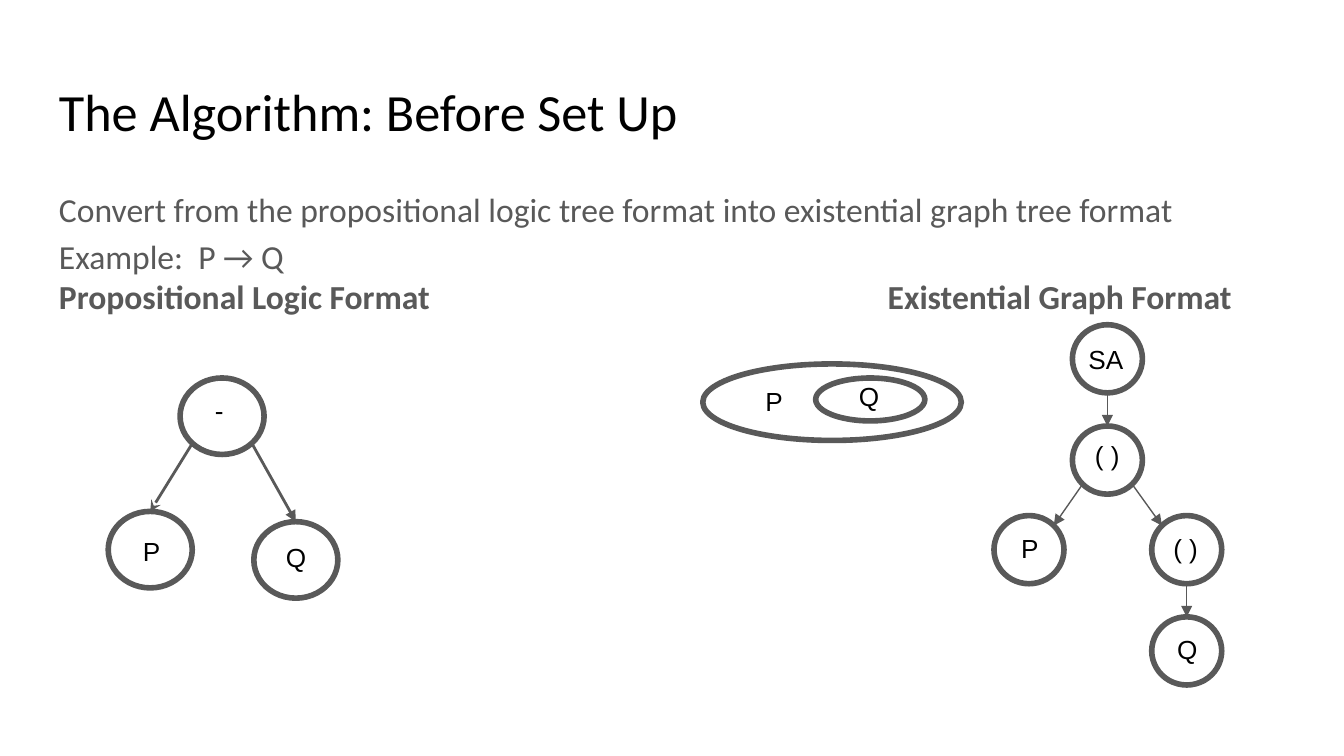
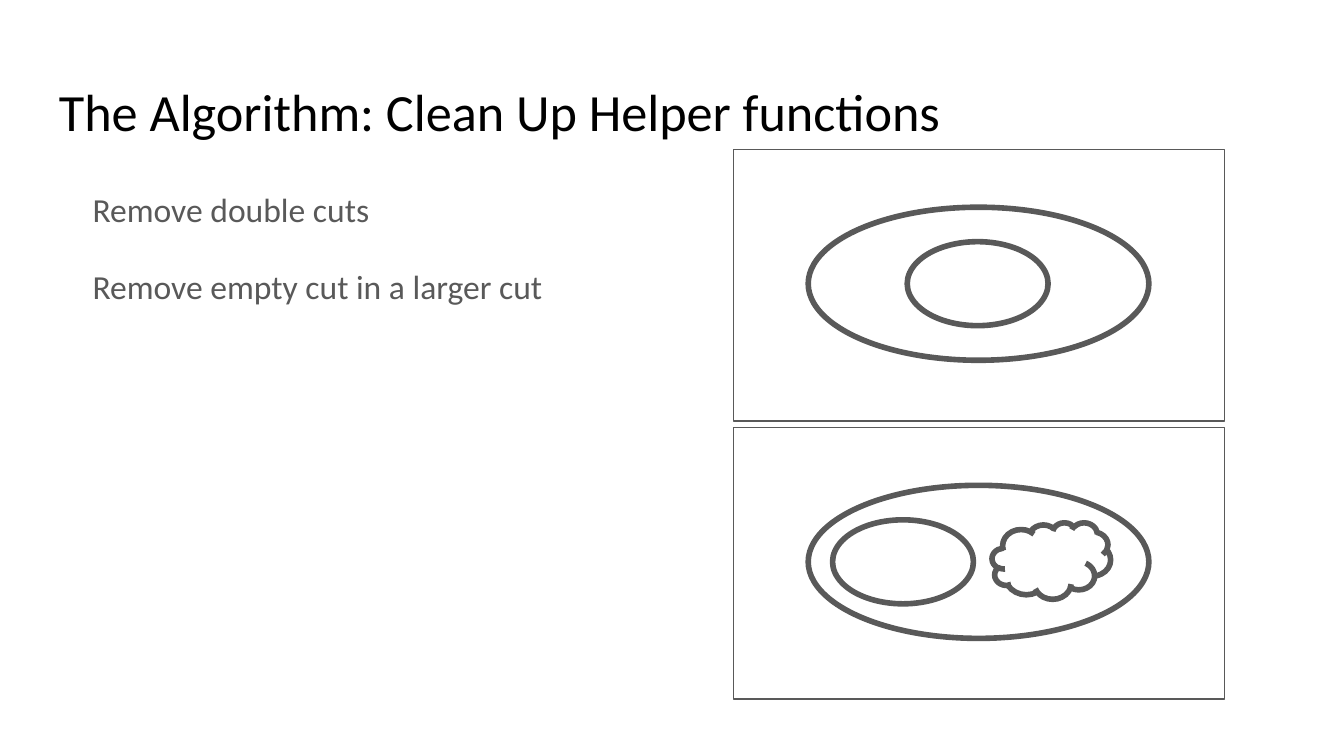
"""Build two slides on converting and cleaning up existential graphs."""
from dataclasses import dataclass
from math import sqrt

from lxml import etree
from pptx import Presentation
from pptx.dml.color import RGBColor
from pptx.enum.shapes import MSO_CONNECTOR, MSO_SHAPE
from pptx.oxml.ns import qn
from pptx.util import Pt

OVAL = MSO_SHAPE.OVAL
RECT = MSO_SHAPE.RECTANGLE
CLOUD = MSO_SHAPE.CLOUD
STRAIGHT = MSO_CONNECTOR.STRAIGHT
DIAG = 1 / sqrt(2)
TOP, BOTTOM = (0, -1), (0, 1)
TOP_LEFT, TOP_RIGHT = (-DIAG, -DIAG), (DIAG, -DIAG)
BOTTOM_LEFT, BOTTOM_RIGHT = (-DIAG, DIAG), (DIAG, DIAG)


@dataclass(frozen=True)
class Theme:
    """Colours, fonts, type sizes and line widths."""
    ink: RGBColor = RGBColor(0x00, 0x00, 0x00)
    gray: RGBColor = RGBColor(0x59, 0x59, 0x59)
    text_font: str = "Calibri"
    label_font: str = "Arial"
    title_size: float = 28
    body_size: float = 18
    label_size: float = 14
    inset: float = 7.2
    spacing: float = 1.15
    thick: float = 3
    thin: float = 0.75


@dataclass(frozen=True)
class Box:
    """A rectangle in points."""
    x: float
    y: float
    w: float
    h: float

    def lengths(self) -> tuple:
        """Return left, top, width and height as lengths."""
        return Pt(self.x), Pt(self.y), Pt(self.w), Pt(self.h)

    def site(self, side: tuple) -> tuple:
        """Return the point of the inscribed ellipse in a direction."""
        dx, dy = side
        return self.x + self.w / 2 * (1 + dx), self.y + self.h / 2 * (1 + dy)


@dataclass(frozen=True)
class Node:
    """A labelled tree node; dx and dy shift the label box."""
    label: str
    x: float
    y: float
    dx: float
    dy: float


@dataclass(frozen=True)
class Edge:
    """An arrow between two nodes, given by index and side."""
    start: int
    start_side: tuple
    end: int
    end_side: tuple
    head: str = "triangle"


@dataclass(frozen=True)
class Tree:
    """A tree with one node size and one arrow width."""
    node_w: float
    node_h: float
    arrow: float
    nodes: tuple
    edges: tuple


THEME = Theme()
TITLE = Box(24.5, 35, 671, 45)
BODY = Box(24.5, 91, 671, 269)
SECOND_COLUMN = 444

LOGIC_TREE = Tree(
    45, 41, 1.5,
    (Node("-", 96.5, 202.5, 11.5, 1.5),
     Node("P", 58, 274, 11.5, 5.5),
     Node("Q", 136, 279.5, 10, 3.5)),
    (Edge(0, BOTTOM_LEFT, 1, TOP, "stealth"),
     Edge(0, BOTTOM_RIGHT, 2, TOP)))

GRAPH_TREE = Tree(
    37.5, 36.5, THEME.thin,
    (Node("SA", 574.5, 174, 1.5, 3),
     Node("( )", 574.5, 228.25, 5, 0),
     Node("P", 532.5, 276.25, 7.5, 1.5),
     Node("( )", 617, 276.25, 4.5, 1.5),
     Node("Q", 617, 330.5, 6.5, 1.5)),
    (Edge(0, BOTTOM, 1, TOP),
     Edge(1, BOTTOM_LEFT, 2, TOP_RIGHT),
     Edge(1, BOTTOM_RIGHT, 3, TOP_LEFT),
     Edge(3, BOTTOM, 4, TOP)))


def add_text(s, box: Box, lines: tuple, size: float, color: RGBColor, font: str) -> list:
    """Add a text box and return its paragraphs."""
    tf = s.shapes.add_textbox(*box.lengths()).text_frame
    tf.word_wrap = True
    tf.margin_left = tf.margin_right = Pt(THEME.inset)
    tf.margin_top = tf.margin_bottom = Pt(THEME.inset)
    for i, line in enumerate(lines):
        p = tf.add_paragraph() if i else tf.paragraphs[0]
        p.text = line
        p.font.size, p.font.name = Pt(size), font
        p.font.color.rgb = color
    return list(tf.paragraphs)


def add_body(s, box: Box, lines: tuple) -> list:
    """Add body text and return its paragraphs."""
    return add_text(s, box, lines, THEME.body_size, THEME.gray, THEME.text_font)


def add_label(s, x: float, y: float, text: str) -> None:
    """Add a short label wide enough for its text."""
    width = {1: 23, 2: 45, 3: 30}[len(text)]
    add_text(s, Box(x, y, width, 24), (text,), THEME.label_size, THEME.ink, THEME.label_font)


def add_outline(s, kind: MSO_SHAPE, box: Box, width: float = THEME.thick) -> None:
    """Add an unfilled shape with a gray outline."""
    sp = s.shapes.add_shape(kind, *box.lengths())
    sp.shadow.inherit = False
    sp.fill.background()
    sp.line.color.rgb = THEME.gray
    sp.line.width = Pt(width)


def add_arrow(s, start: tuple, end: tuple, width: float, head: str) -> None:
    """Add a straight arrow between two points."""
    line = s.shapes.add_connector(STRAIGHT, *map(Pt, start + end))
    line.line.color.rgb = THEME.gray
    line.line.width = Pt(width)
    etree.SubElement(line.line._get_or_add_ln(), qn("a:tailEnd"), type=head)
    etree.SubElement(line._element.spPr, qn("a:effectLst"))


def add_tree(s, tree: Tree) -> None:
    """Draw a tree's nodes, arrows and labels."""
    boxes = [Box(n.x, n.y, tree.node_w, tree.node_h) for n in tree.nodes]
    for box in boxes:
        add_outline(s, OVAL, box)
    for e in tree.edges:
        add_arrow(s, boxes[e.start].site(e.start_side), boxes[e.end].site(e.end_side),
                  tree.arrow, e.head)
    for n in tree.nodes:
        add_label(s, n.x + n.dx, n.y + n.dy, n.label)


def add_slide(prs, title: str):
    """Add a blank slide with a title."""
    s = prs.slides.add_slide(prs.slide_layouts[6])
    add_text(s, TITLE, (title,), THEME.title_size, THEME.ink, THEME.text_font)
    return s


def build_setup(prs) -> None:
    """Build the slide comparing the two tree formats."""
    s = add_slide(prs, "The Algorithm: Before Set Up")
    intro, example, heads = add_body(s, BODY, (
        "Convert from the propositional logic tree format into existential graph tree format",
        "Example:  P → Q",
        "Propositional Logic Format\tExistential Graph Format"))
    intro.line_spacing = example.line_spacing = THEME.spacing
    heads.font.bold = True
    tabs = etree.Element(qn("a:tabLst"))
    etree.SubElement(tabs, qn("a:tab"), pos=str(Pt(SECOND_COLUMN)), algn="l")
    heads._p.get_or_add_pPr().insert(0, tabs)
    add_outline(s, OVAL, Box(376.5, 195, 138.5, 41))
    add_outline(s, OVAL, Box(437, 202.5, 58.5, 23))
    add_label(s, 403, 199.5, "P")
    add_label(s, 453, 196.5, "Q")
    add_tree(s, LOGIC_TREE)
    add_tree(s, GRAPH_TREE)


def build_cleanup(prs) -> None:
    """Build the slide on the clean-up rules."""
    s = add_slide(prs, "The Algorithm: Clean Up Helper functions")
    rules = ("Remove double cuts", "Remove empty cut in a larger cut")
    for p in add_body(s, Box(BODY.x, BODY.y, 300, BODY.h), rules):
        p.line_spacing = THEME.spacing
        p.space_after = Pt(16)
        pPr = p._p.get_or_add_pPr()
        pPr.set("marL", str(Pt(36)))
        pPr.set("indent", str(Pt(-18)))
    panel_x, panel_y, pitch = 393, 80, 149
    for i, inner_x in enumerate((486, 446)):
        y = panel_y + i * pitch
        add_outline(s, RECT, Box(panel_x, y, 263, 145.5), THEME.thin)
        add_outline(s, OVAL, Box(433, y + 31, 182.5, 82))
        add_outline(s, OVAL, Box(inner_x, y + 49.5, 75.5, 45))
    add_outline(s, CLOUD, Box(531.5, 280, 63.5, 41))


def main() -> None:
    """Build and save the presentation."""
    prs = Presentation()
    prs.slide_width, prs.slide_height = Pt(720), Pt(405)
    build_setup(prs)
    build_cleanup(prs)
    prs.save("out.pptx")


main()
